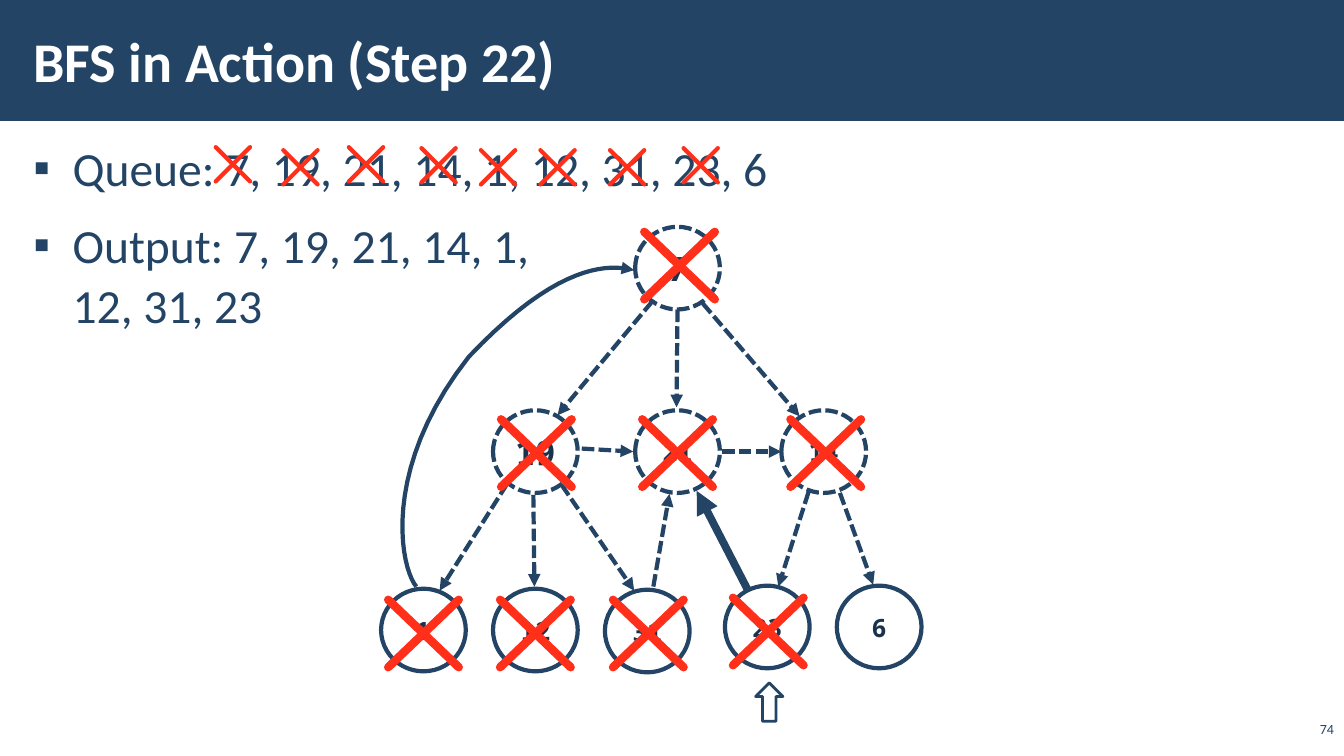
from lxml import etree
from pptx import Presentation
from pptx.dml.color import RGBColor
from pptx.enum.dml import MSO_LINE
from pptx.enum.shapes import MSO_CONNECTOR, MSO_SHAPE
from pptx.enum.text import MSO_ANCHOR, MSO_AUTO_SIZE, PP_ALIGN
from pptx.oxml.ns import qn
from pptx.util import Pt

PX = 9144  # 100 px to the inch
STRAIGHT = MSO_CONNECTOR.STRAIGHT
DASH = MSO_LINE.SQUARE_DOT
LEFT, CENTER, RIGHT = PP_ALIGN.LEFT, PP_ALIGN.CENTER, PP_ALIGN.RIGHT
TOP, MIDDLE, BOTTOM = MSO_ANCHOR.TOP, MSO_ANCHOR.MIDDLE, MSO_ANCHOR.BOTTOM
NAVY, INK, RED, WHITE = "234465", "1A334C", "FF2F19", "FFFFFF"
BODY_FONT, NODE_FONT = "Calibri", "Noto Sans Mono"

# Content
TITLE = "BFS in Action (Step 22)"
BULLETS = [
    ["Queue: 7, 19, 21, 14, 1, 12, 31, 23, 6"],
    ["Output: 7, 19, 21, 14, 1,", "12, 31, 23"],
]
PAGE_NUMBER = "74"
QUEUE_CROSSES = [(214, 146), (281, 149), (346, 146), (418, 147),
                 (477, 149), (536, 149), (605, 149), (678, 147)]
QUEUE_CROSS_SIZE = (34, 34)
# label, left, top, text points, dashed outline, corner of its cross
NODES = [
    ("7", 630, 225, 24, True, (639, 230)),
    ("19", 489, 407, 24, True, (497, 416)),
    ("21", 630, 407, 18, True, (637, 416)),
    ("14", 775, 407, 18, True, (784, 416)),
    ("1", 378, 584, 18, False, (385, 595)),
    ("12", 489, 584, 18, False, (496, 595)),
    ("31", 600, 585, 18, False, (608, 595)),
    ("23", 719, 581, 18, False, (727, 593)),
    ("6", 830, 581, 18, False, None),
]
NODE_SIZE = (84, 82)
NODE_CROSS_SIZE = (70, 67)
VISITED_EDGES = [
    (647, 299, 553, 412), (672, 307, 671, 404), (697, 301, 793, 413),
    (577, 445, 628, 448), (716, 448, 775, 448),
    (503, 480, 436, 586), (529, 491, 530, 582), (557, 481, 629, 586),
    (648, 582, 664, 490), (802, 488, 772, 582), (833, 489, 866, 580),
]
CURRENT_EDGE = (741, 584, 691, 487)
BACK_EDGE = [  # Bezier pieces from node 1 up to node 7
    [(413, 582), (398, 565), (376, 467), (465, 354)],
    [(465, 354), (554, 260), (604, 262), (629, 268)],
]
CURVE_STEPS = 20


def color(value):
    return RGBColor.from_string(value)


def px(*lengths):
    return [round(length * PX) for length in lengths]


def place(shape, *bounds):
    shape.left, shape.top, shape.width, shape.height = px(*bounds)


def set_line(shape, value, points, dashed=False):
    shape.line.color.rgb = color(value)
    shape.line.width = Pt(points)
    if dashed:
        shape.line.dash_style = DASH


def add_arrowhead(shape):
    etree.SubElement(shape.line._get_or_add_ln(), qn("a:tailEnd"), type="triangle")


def add_line(shapes, ends, value, points, dashed=False):
    line = shapes.add_connector(STRAIGHT, *px(*ends))
    etree.SubElement(line.element.spPr, qn("a:effectLst"))
    set_line(line, value, points, dashed)
    return line


def add_shape(kind, bounds, fill, opacity=100):
    shape = page.shapes.add_shape(kind, *px(*bounds))
    shape.shadow.inherit = False
    shape.fill.solid()
    shape.fill.fore_color.rgb = color(fill)
    if opacity < 100:
        tint = next(shape.element.spPr.iter(qn("a:srgbClr")))
        etree.SubElement(tint, qn("a:alpha"), val=str(opacity * 1000))
    return shape


def add_cross(corner, size, points):
    left, top = corner
    right, bottom = left + size[0], top + size[1]
    group = page.shapes.add_group_shape()
    for ends in ((left, top, right, bottom), (right, top, left, bottom)):
        line = add_line(group.shapes, ends, RED, points)
        line.line._get_or_add_ln().set("cap", "rnd")


def set_frame(box, anchor, wrap=True):
    frame = box.text_frame
    frame.auto_size = MSO_AUTO_SIZE.NONE
    frame.word_wrap = wrap
    frame.vertical_anchor = anchor
    return frame


def set_insets(frame):
    frame.margin_left, frame.margin_top, frame.margin_right, frame.margin_bottom = px(12, 4, 12, 4)


def add_span(para, text, font, points, value, bold=False, align=LEFT):
    para.alignment = align
    span = para.add_run()
    span.text = text
    span.font.name = font
    span.font.size = Pt(points)
    span.font.bold = bold
    span.font.color.rgb = color(value)


def bezier(points, t):
    weights = ((1 - t) ** 3, 3 * t * (1 - t) ** 2, 3 * t ** 2 * (1 - t), t ** 3)
    return px(*(sum(w * p[axis] for w, p in zip(weights, points)) for axis in (0, 1)))


deck = Presentation()
deck.slide_width, deck.slide_height = px(1333, 750)
page = deck.slides.add_slide(deck.slide_layouts[1])
title, body = page.placeholders

# Title on its bar
bar = add_shape(MSO_SHAPE.RECTANGLE, (0, 0, 1333, 120), NAVY)
bar.line.fill.background()
page.shapes.element.insert(2, bar.element)
place(title, 21, 11, 1063, 97)
frame = set_frame(title, MIDDLE)
set_insets(frame)
add_span(frame.paragraphs[0], TITLE, BODY_FONT, 40, WHITE, bold=True)

# Queue and output bullets
place(body, 21, 131, 1292, 605)
frame = set_frame(body, TOP)
set_insets(frame)
for number, lines in enumerate(BULLETS):
    para = frame.add_paragraph() if number else frame.paragraphs[0]
    properties = para._p.get_or_add_pPr()
    properties.set("marL", str(39 * PX))
    properties.set("indent", str(-39 * PX))
    etree.SubElement(properties, qn("a:buChar"), char="▪")
    para.line_spacing = 1.05
    para.space_before = Pt(6 if number else 0)
    para.space_after = Pt(6)
    for row, text in enumerate(lines):
        if row:
            para.add_line_break()
        add_span(para, text, BODY_FONT, 34, NAVY)

# Page number
box = page.shapes.add_textbox(*px(1286, 714, 47, 22))
add_span(set_frame(box, BOTTOM).paragraphs[0], PAGE_NUMBER, BODY_FONT, 10, NAVY, align=RIGHT)

# Edges
for ends in VISITED_EDGES:
    add_arrowhead(add_line(page.shapes, ends, NAVY, 3, dashed=True))
add_arrowhead(add_line(page.shapes, CURRENT_EDGE, NAVY, 5.5))
builder = page.shapes.build_freeform(*px(*BACK_EDGE[0][0]))
builder.add_line_segments(
    [bezier(piece, step / CURVE_STEPS) for piece in BACK_EDGE for step in range(1, CURVE_STEPS + 1)],
    close=False)
curve = builder.convert_to_shape()
curve.shadow.inherit = False
curve.fill.background()
set_line(curve, NAVY, 3)
add_arrowhead(curve)

# Nodes
for label, left, top, points, dashed, _ in NODES:
    node = add_shape(MSO_SHAPE.OVAL, (left, top, *NODE_SIZE), WHITE, opacity=70)
    set_line(node, NAVY, 3, dashed)
    para = set_frame(node, MIDDLE, wrap=False).paragraphs[0]
    add_span(para, label, NODE_FONT, points, INK, bold=True, align=CENTER)

# Crosses over the queue and the visited nodes
for corner in QUEUE_CROSSES:
    add_cross(corner, QUEUE_CROSS_SIZE, 3)
for *_, corner in NODES:
    if corner:
        add_cross(corner, NODE_CROSS_SIZE, 6)

# Pointer to the current node
pointer = add_shape(MSO_SHAPE.RIGHT_ARROW, (744, 683, 38, 27), WHITE, opacity=50)
pointer.rotation = 270
set_line(pointer, NAVY, 2)

deck.save("out.pptx")
